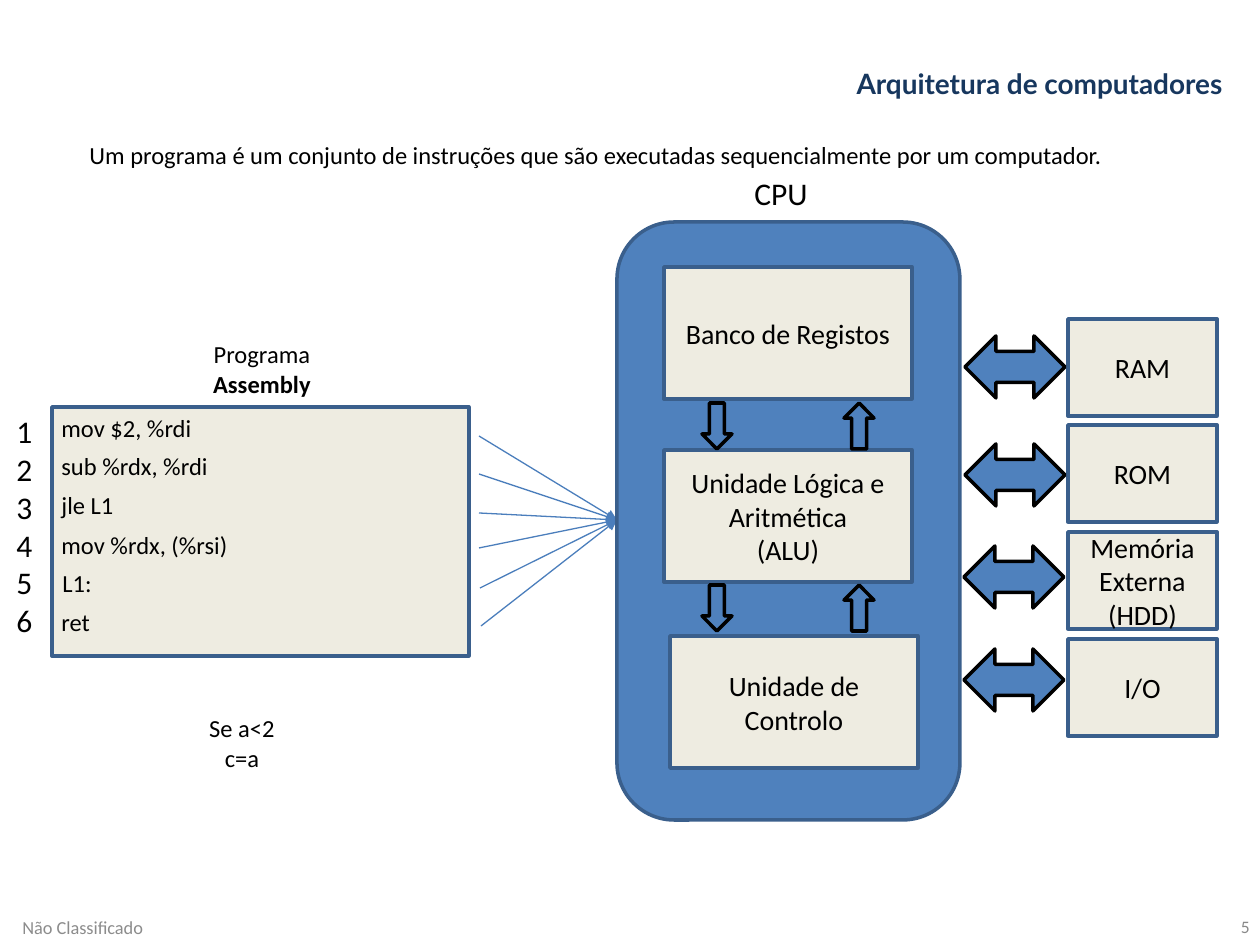
from dataclasses import dataclass

from lxml.etree import SubElement
from pptx import Presentation
from pptx.dml.color import RGBColor
from pptx.enum.shapes import MSO_CONNECTOR as CONN, MSO_SHAPE as SHAPE
from pptx.enum.text import MSO_ANCHOR as ANCHOR, PP_ALIGN as ALIGN
from pptx.oxml.ns import qn
from pptx.util import Emu, Pt

PX = 914400 / 126


@dataclass(frozen=True)
class Theme:
    font: str = "Calibri"
    title_font: str = "Lato"
    ink: str = "000000"
    title: str = "17375E"
    number: str = "898989"
    footer: str = "8C8C8C"
    panel: str = "EEECE1"
    blue: str = "4F81BD"
    border: str = "3A5F8C"
    link: str = "4B7EBC"
    big: float = 18
    label: float = 16
    body: float = 14
    small: float = 10.5
    tiny: float = 10
    stroke: float = 2
    thin: float = 0.75


def px(*values):
    return [Emu(round(v * PX)) for v in values]


def rgb(value):
    return RGBColor.from_string(value)


class Slide:
    def __init__(self, prs, theme):
        self.t = theme
        self.s = prs.slides.add_slide(prs.slide_layouts[6])

    def add_lines(self, tf, lines, size, color=None, font=None,
                  align=ALIGN.LEFT, anchor=ANCHOR.TOP, bold=()):
        tf.word_wrap = True
        tf.vertical_anchor = anchor
        for i, line in enumerate(lines):
            p = tf.add_paragraph() if i else tf.paragraphs[0]
            p.alignment = align
            r = p.add_run()
            r.text = line
            r.font.size = Pt(size)
            r.font.name = font or self.t.font
            r.font.bold = line in bold
            r.font.color.rgb = rgb(color or self.t.ink)

    def text(self, box, lines, size, **style):
        tb = self.s.shapes.add_textbox(*px(*box))
        self.add_lines(tb.text_frame, lines, size, **style)

    def shape(self, kind, box, fill, line, rotation=0):
        sp = self.s.shapes.add_shape(kind, *px(*box))
        sp.shadow.inherit = False
        sp.fill.solid()
        sp.fill.fore_color.rgb = rgb(fill)
        sp.line.color.rgb = rgb(line)
        sp.line.width = Pt(self.t.stroke)
        sp.rotation = rotation
        return sp

    def panel(self, box, lines=()):
        sp = self.shape(SHAPE.RECTANGLE, box, self.t.panel, self.t.border)
        self.add_lines(sp.text_frame, lines, self.t.label,
                       align=ALIGN.CENTER, anchor=ANCHOR.MIDDLE)

    def arrow(self, kind, box, rotation=0):
        self.shape(kind, box, self.t.blue, self.t.ink, rotation)

    def link(self, start, end):
        c = self.s.shapes.add_connector(CONN.STRAIGHT, *px(*start, *end))
        c.line.color.rgb = rgb(self.t.link)
        c.line.width = Pt(self.t.thin)
        props = c.element.spPr
        SubElement(props.find(qn("a:ln")), qn("a:tailEnd"), type="triangle")
        SubElement(props, qn("a:effectLst"))


def main():
    prs = Presentation()
    prs.slide_width, prs.slide_height = px(1260, 945)
    t = Theme()
    s = Slide(prs, t)

    s.text((968, 902, 294, 50), ["5"], t.tiny, color=t.number,
           align=ALIGN.RIGHT, anchor=ANCHOR.MIDDLE)
    s.text((10, 902, 541, 50), ["Não Classificado"], t.small,
           color=t.footer, anchor=ANCHOR.MIDDLE)
    title = "Arquitetura de computadores"
    s.text((154, 60, 1081, 95), [title], t.label, color=t.title,
           font=t.title_font, align=ALIGN.RIGHT, bold=(title,))
    s.text((77, 134, 1062, 43),
           ["Um programa é um conjunto de instruções que são executadas "
            "sequencialmente por um computador."], t.body)

    s.panel((52, 407, 417, 249))
    s.text((174, 333, 176, 72), ["Programa", "Assembly"], t.body,
           align=ALIGN.CENTER, bold=("Assembly",))
    program = [
        ("mov $2, %rdi", 49, 407, 479, 436),
        ("sub %rdx, %rdi", 49, 445, 479, 474),
        ("jle L1", 49, 484, 479, 513),
        ("mov %rdx, (%rsi)", 49, 524, 479, 548),
        ("L1:", 50, 562, 480, 588),
        ("ret", 49, 601, 481, 626),
    ]
    s.text((4, 406, 42, 242),
           [str(n) for n in range(1, len(program) + 1)], t.big)
    for code, x, y, link_x, link_y in program:
        s.link((link_x, link_y), (617, 520))
        s.text((x, y, 436, 43), [code], t.body)

    s.shape(SHAPE.ROUNDED_RECTANGLE, (617, 222, 343, 598), t.blue, t.border)
    s.text((742, 168, 93, 50), ["CPU"], t.big)
    units = [
        (664, 267, ["Banco de Registos"]),
        (664, 450, ["Unidade Lógica e Aritmética", "(ALU)"]),
        (670, 636, ["Unidade de Controlo"]),
    ]
    for x, y, lines in units:
        s.panel((x, y, 248, 132), lines)
    for y in (403, 585):
        for x, rotation in ((702, 0), (844, 180)):
            s.arrow(SHAPE.DOWN_ARROW, (x, y, 30, 46), rotation)

    devices = [
        ("RAM", 319, 965, 336),
        ("ROM", 425, 965, 444),
        ("Memória Externa (HDD)", 532, 964, 546),
        ("I/O", 639, 964, 649),
    ]
    for name, y, arrow_x, arrow_y in devices:
        s.panel((1068, y, 149, 97), [name])
        s.arrow(SHAPE.LEFT_RIGHT_ARROW, (arrow_x, arrow_y, 100, 62))

    s.text((154, 707, 176, 72), ["Se a<2", "c=a"], t.body,
           align=ALIGN.CENTER)

    prs.save("out.pptx")


if __name__ == "__main__":
    main()
